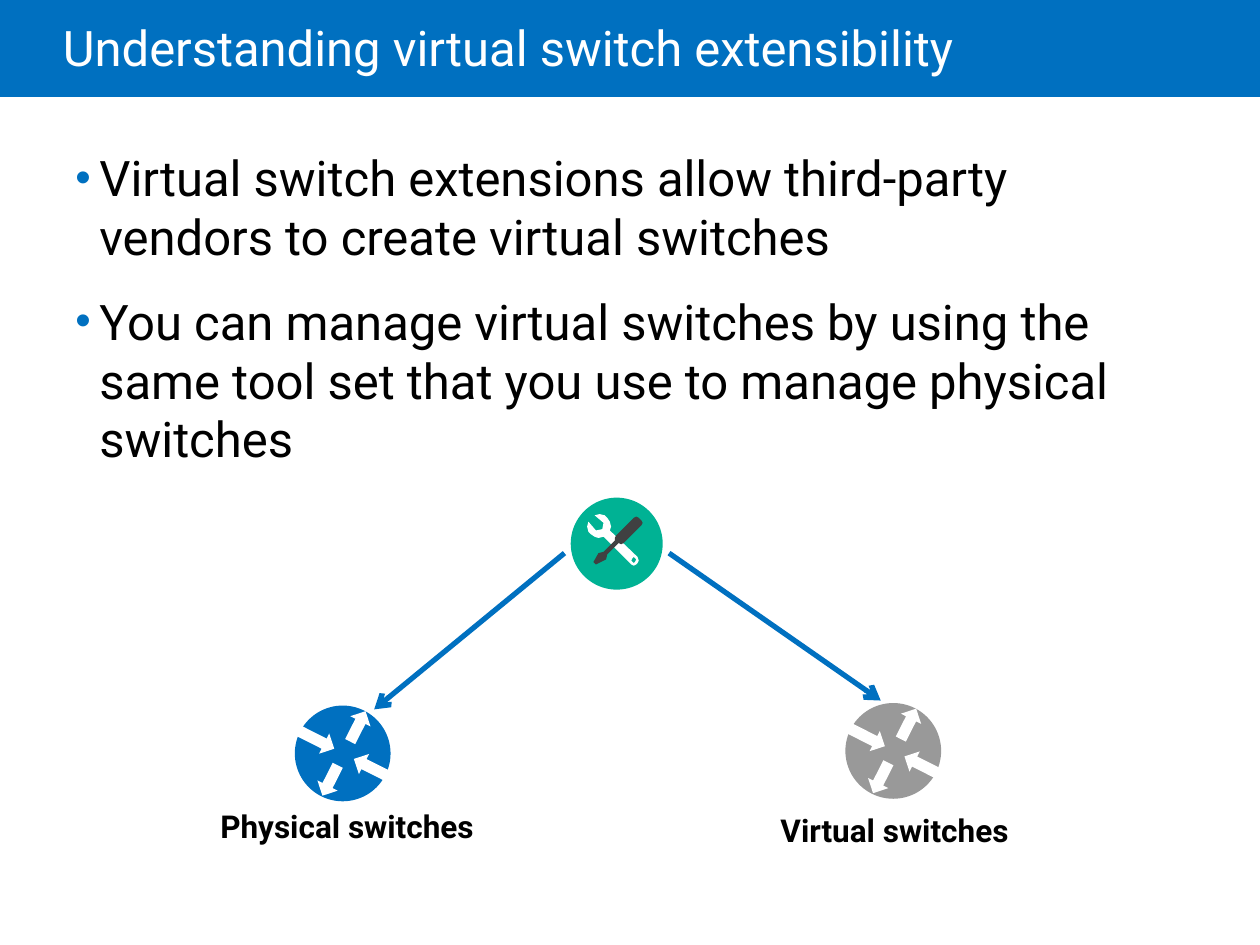
from pptx import Presentation
from pptx.dml.color import RGBColor
from pptx.enum.shapes import MSO_CONNECTOR, MSO_SHAPE
from pptx.enum.text import MSO_ANCHOR, PP_ALIGN
from pptx.oxml.ns import qn
from pptx.util import Inches, Pt
from lxml.etree import SubElement

BLUE = RGBColor(0x00, 0x70, 0xC0)
GREEN = RGBColor(0x00, 0xB2, 0x94)
GRAY = RGBColor(0x99, 0x99, 0x99)
DARK = RGBColor(0x40, 0x40, 0x41)
WHITE = RGBColor(0xFF, 0xFF, 0xFF)
BLACK = RGBColor(0x00, 0x00, 0x00)

COLS, ROWS = 1000, 750
CELL = Inches(0.01)

BULLETS = [
    "Virtual switch extensions allow third-party vendors to create virtual switches",
    "You can manage virtual switches by using the same tool set that you use to manage physical switches",
]
SWITCH_ARROWS = [
    (19, 46, 18, 27, 26.8),
    (41, 3, 18, 27, 206.8),
    (53, 33, 18, 34, 116.8),
    (8, 11, 18, 32, 296.8),
]
WRENCH = [
    [(472, 409), (479, 415), (478, 420), (473, 421), (467, 414), (466, 418), (467, 422),
     (469, 424), (472, 426), (475, 427), (479, 426), (501, 448), (503, 449), (505, 448),
     (506, 447), (507, 445), (506, 442), (484, 421), (485, 418), (484, 414), (482, 411),
     (480, 409), (476, 408)],
    [(504, 446), (503, 447), (502, 446), (501, 445), (502, 443), (503, 442), (504, 443),
     (505, 444)],
]
SCREWDRIVER = [
    [(509, 413), (507, 411), (505, 410), (503, 411), (489, 425), (488, 427), (488, 429),
     (479, 438), (475, 439), (471, 446), (473, 448), (481, 444), (482, 440), (491, 431),
     (493, 432), (495, 431), (509, 417), (510, 415)],
]


def write(p, text, size=28, color=BLACK, bold=False, align=PP_ALIGN.LEFT, spacing=None, before=0):
    """Add formatted text to a paragraph."""
    p.alignment = align
    p.line_spacing = spacing
    p.space_before = Pt(before)
    r = p.add_run()
    r.text = text
    r.font.name, r.font.size = "Roboto", Pt(size)
    r.font.color.rgb, r.font.bold = color, bold


class Deck:
    """Draw styled elements on a slide, measured in grid columns and rows."""

    def __init__(self):
        self.prs = Presentation()
        self.prs.slide_width, self.prs.slide_height = COLS * CELL, ROWS * CELL
        self.s = self.prs.slides.add_slide(self.prs.slide_layouts[6])

    def paint(self, sp, fill):
        sp.shadow.inherit = False
        sp.fill.solid()
        sp.fill.fore_color.rgb = fill
        sp.line.fill.background()

    def shape(self, kind, col, row, w, h, fill, rotation=0):
        sp = self.s.shapes.add_shape(kind, col * CELL, row * CELL, w * CELL, h * CELL)
        sp.rotation = rotation
        self.paint(sp, fill)

    def outline(self, contours, fill):
        first, *holes = contours
        fb = self.s.shapes.build_freeform(*first[0], scale=CELL)
        fb.add_line_segments(first[1:])
        for hole in holes:
            fb.move_to(*hole[0])
            fb.add_line_segments(hole[1:])
        self.paint(fb.convert_to_shape(), fill)

    def arrow(self, start, end):
        ends = [v * CELL for v in (*start, *end)]
        cx = self.s.shapes.add_connector(MSO_CONNECTOR.STRAIGHT, *ends)
        cx.line.color.rgb, cx.line.width = BLUE, Pt(3)
        SubElement(cx.line._get_or_add_ln(), qn("a:tailEnd"), type="arrow")
        SubElement(cx._element.spPr, qn("a:effectLst"))

    def box(self, col, row, w, h, wrap=True):
        tf = self.s.shapes.add_textbox(col * CELL, row * CELL, w * CELL, h * CELL).text_frame
        tf.word_wrap = wrap
        return tf

    def title(self, text):
        tf = self.box(50, 0, 850, 81)
        tf.margin_left = 0
        tf.vertical_anchor = MSO_ANCHOR.MIDDLE
        write(tf.paragraphs[0], text, color=WHITE, spacing=0.85)

    def bullets(self, items):
        tf = self.box(50, 112, 888, 563)
        for i, item in enumerate(items):
            p = tf.add_paragraph() if i else tf.paragraphs[0]
            write(p, item, before=15 if i else 0)
            pPr = p._p.get_or_add_pPr()
            pPr.set("marL", str(19 * CELL))
            pPr.set("indent", str(-19 * CELL))
            SubElement(SubElement(pPr, qn("a:buClr")), qn("a:srgbClr"), val=str(BLUE))
            SubElement(pPr, qn("a:buSzPct"), val="90000")
            SubElement(pPr, qn("a:buFont"), typeface="Arial")
            SubElement(pPr, qn("a:buChar"), char="•")

    def label(self, text, col, row, w):
        write(self.box(col, row, w, 40, wrap=False).paragraphs[0], text, size=18, bold=True,
              align=PP_ALIGN.CENTER)

    def switch(self, col, row, fill):
        self.shape(MSO_SHAPE.OVAL, col, row, 76, 76, fill)
        for dx, dy, w, h, rotation in SWITCH_ARROWS:
            self.shape(MSO_SHAPE.DOWN_ARROW, col + dx, row + dy, w, h, WHITE, rotation)

    def tools(self):
        self.shape(MSO_SHAPE.OVAL, 453, 395, 73, 73, GREEN)
        self.outline(WRENCH, WHITE)
        self.outline(SCREWDRIVER, DARK)


def main():
    """Build the slide and save it."""
    deck = Deck()
    deck.shape(MSO_SHAPE.RECTANGLE, 0, 0, COLS, 77, BLUE)
    deck.title("Understanding virtual switch extensibility")
    deck.bullets(BULLETS)
    deck.switch(234, 560, BLUE)
    deck.tools()
    deck.arrow((448, 439), (297, 563))
    deck.arrow((531, 439), (699, 556))
    deck.switch(671, 558, GRAY)
    deck.label("Virtual switches", 606, 639, 208)
    deck.label("Physical switches", 164, 636, 223)
    deck.prs.save("out.pptx")


if __name__ == "__main__":
    main()
